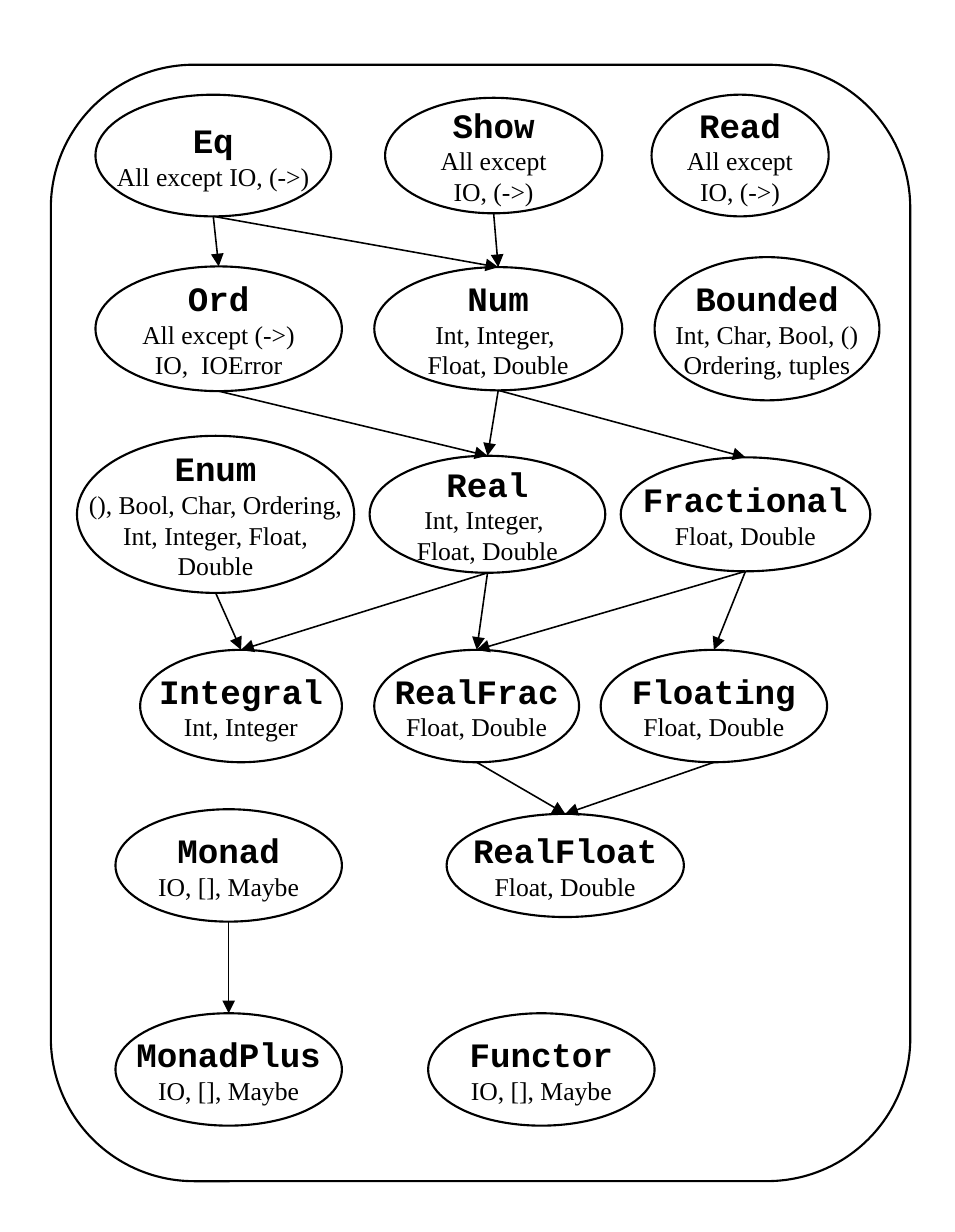
import pptx
import pptx.dml.color
import pptx.enum.shapes
import pptx.enum.text
import pptx.oxml.ns
import pptx.util
from lxml import etree

COLORS = {"ink": "000000"}
GRID_COLUMNS, GRID_ROWS = 62, 80
CELL = pptx.util.Inches(0.1)
BOTTOM_OF_ELLIPSE = 4

ROW_CENTERS = {
    "basic": 10.1,
    "ordered": 21.35,
    "real": 33.4,
    "integral": 45.85,
    "float": 56.2,
    "functor": 69.45,
}

# name: (row, left, width, height, instances)
TYPE_CLASSES = {
    "Eq": ("basic", 6.2, 15.3, 7.9, ["All except IO, (->)"]),
    "Show": ("basic", 25, 14.1, 7.5, ["All except", "IO, (->)"]),
    "Read": ("basic", 42.3, 11.5, 7.9, ["All except", "IO, (->)"]),
    "Ord": ("ordered", 6.2, 16, 8.1, ["All except (->)", "IO,  IOError"]),
    "Num": ("ordered", 24.3, 16.1, 8, ["Int, Integer, ", "Float, Double"]),
    "Bounded": ("ordered", 42.5, 14.6, 9.3,
                ["Int, Char, Bool, ()", "Ordering, tuples"]),
    "Enum": ("real", 5, 18, 10.2,
             ["(), Bool, Char, Ordering,", "Int, Integer, Float,", "Double"]),
    "Real": ("real", 24, 15.3, 7.6, ["Int, Integer, ", "Float, Double"]),
    "Fractional": ("real", 40.3, 16.2, 7.4, ["Float, Double"]),
    "Integral": ("integral", 9.1, 13.1, 7.3, ["Int, Integer"]),
    "RealFrac": ("integral", 24.3, 13.3, 7.3, ["Float, Double"]),
    "Floating": ("integral", 39, 14.7, 7.3, ["Float, Double"]),
    "Monad": ("float", 7.5, 14.7, 7.3, ["IO, [], Maybe"]),
    "RealFloat": ("float", 29, 15.4, 6.7, ["Float, Double"]),
    "MonadPlus": ("functor", 7.5, 14.7, 7.3, ["IO, [], Maybe"]),
    "Functor": ("functor", 27.8, 14.7, 7.3, ["IO, [], Maybe"]),
}

SUBCLASSES = {
    "Eq": ["Ord", "Num"],
    "Show": ["Num"],
    "Ord": ["Real"],
    "Num": ["Real", "Fractional"],
    "Enum": ["Integral"],
    "Real": ["Integral", "RealFrac"],
    "Fractional": ["RealFrac", "Floating"],
    "RealFrac": ["RealFloat"],
    "Floating": ["RealFloat"],
    "Monad": ["MonadPlus"],
}


def grid(cells):
    return round(cells * CELL)


def ink():
    return pptx.dml.color.RGBColor.from_string(COLORS["ink"])


def add_outline(slide, preset, left, top, width, height):
    shape = slide.shapes.add_shape(
        preset, grid(left), grid(top), grid(width), grid(height))
    shape.shadow.inherit = False
    shape.fill.background()
    shape.line.color.rgb = ink()
    shape.line.width = pptx.util.Pt(1)
    return shape


def format_paragraph(paragraph, text, font_name, size, bold):
    paragraph.text = text
    paragraph.alignment = pptx.enum.text.PP_ALIGN.CENTER
    paragraph.font.name = font_name
    paragraph.font.size = pptx.util.Pt(size)
    paragraph.font.bold = bold
    paragraph.font.color.rgb = ink()


def add_type_class(slide, name, row, left, width, height, instances):
    top = ROW_CENTERS[row] - height / 2
    shape = add_outline(slide, pptx.enum.shapes.MSO_SHAPE.OVAL,
                        left, top, width, height)
    frame = shape.text_frame
    frame.word_wrap = False
    frame.vertical_anchor = pptx.enum.text.MSO_ANCHOR.MIDDLE
    format_paragraph(frame.paragraphs[0], name, "Courier New", 16, True)
    for line in instances:
        format_paragraph(frame.add_paragraph(), line,
                         "Times New Roman", 12, False)
    return shape


def add_arrow(slide, parent, child):
    connector = slide.shapes.add_connector(
        pptx.enum.shapes.MSO_CONNECTOR.STRAIGHT,
        parent.left + parent.width // 2, parent.top + parent.height,
        child.left + child.width // 2, child.top)
    joints = connector._element.find(".//" + pptx.oxml.ns.qn("p:cNvCxnSpPr"))
    etree.SubElement(joints, pptx.oxml.ns.qn("a:stCxn"),
                     id=str(parent.shape_id), idx=str(BOTTOM_OF_ELLIPSE))
    connector.end_connect(child, 0)
    connector.line.color.rgb = ink()
    connector.line.width = pptx.util.Pt(0.75)
    etree.SubElement(connector.line._get_or_add_ln(),
                     pptx.oxml.ns.qn("a:tailEnd"), type="triangle")
    etree.SubElement(connector._element.spPr, pptx.oxml.ns.qn("a:effectLst"))


def main():
    presentation = pptx.Presentation()
    presentation.slide_width = grid(GRID_COLUMNS)
    presentation.slide_height = grid(GRID_ROWS)
    slide = presentation.slides.add_slide(presentation.slide_layouts[6])

    add_outline(slide, pptx.enum.shapes.MSO_SHAPE.ROUNDED_RECTANGLE,
                3.3, 4.2, 55.8, 72.5)
    shapes = {name: add_type_class(slide, name, *details)
              for name, details in TYPE_CLASSES.items()}
    for parent, children in SUBCLASSES.items():
        for child in children:
            add_arrow(slide, shapes[parent], shapes[child])

    presentation.save("out.pptx")


if __name__ == "__main__":
    main()
